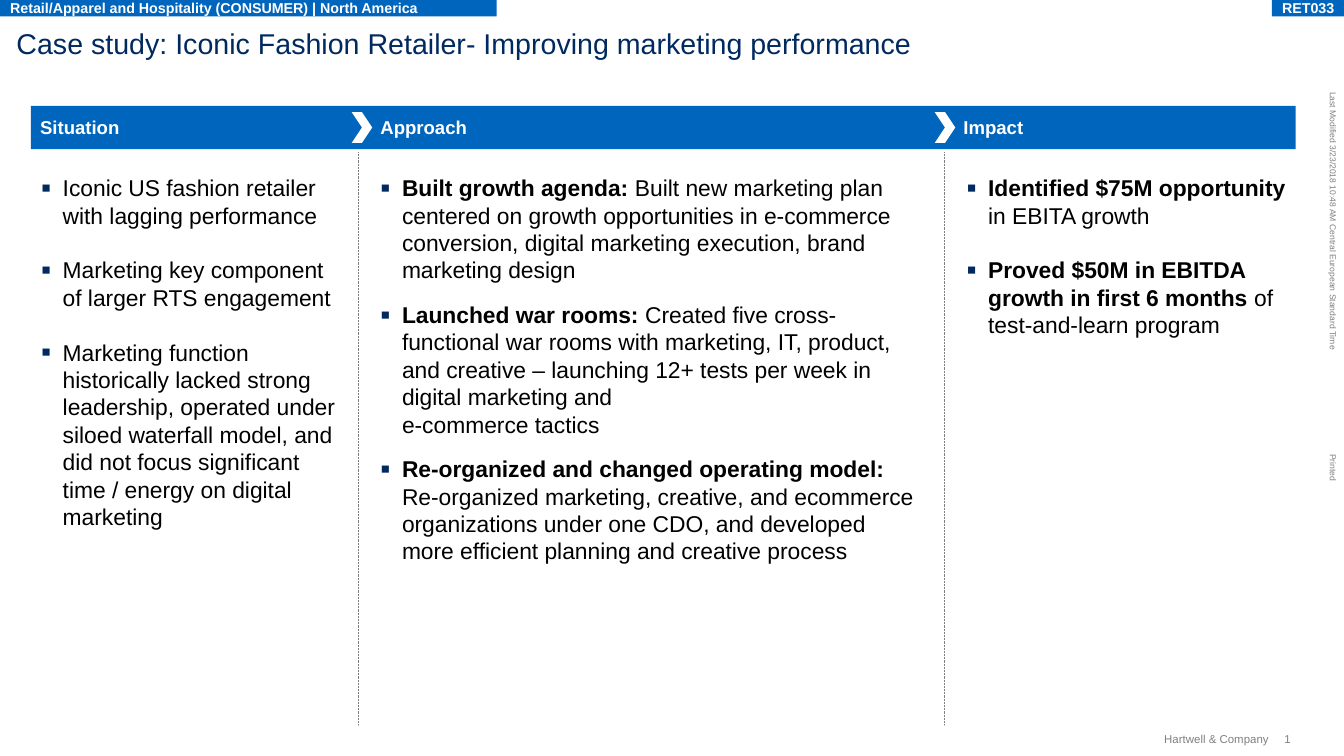
from lxml import etree
from pptx import Presentation
from pptx.dml.color import RGBColor
from pptx.enum.dml import MSO_LINE
from pptx.enum.shapes import MSO_CONNECTOR, MSO_SHAPE
from pptx.enum.text import MSO_ANCHOR, PP_ALIGN
from pptx.oxml.ns import qn
from pptx.util import Inches, Pt

RECTANGLE, CHEVRON = MSO_SHAPE.RECTANGLE, MSO_SHAPE.CHEVRON
STRAIGHT, DOTTED = MSO_CONNECTOR.STRAIGHT, MSO_LINE.ROUND_DOT
TOP, MIDDLE, BOTTOM = MSO_ANCHOR.TOP, MSO_ANCHOR.MIDDLE, MSO_ANCHOR.BOTTOM
LEFT, RIGHT = PP_ALIGN.LEFT, PP_ALIGN.RIGHT

COLORS = {"blue": "0065BD", "navy": "002960", "grey": "808080",
          "black": "000000", "white": "FFFFFF"}
FONTS = {
    "title": {"size": Pt(20), "color": "navy"},
    "tag": {"size": Pt(10), "bold": True, "color": "white"},
    "header": {"size": Pt(13), "bold": True, "color": "white"},
    "body": {"size": Pt(16), "color": "black"},
    "footer": {"size": Pt(8), "color": "grey"},
    "stamp": {"size": Pt(6), "color": "grey"},
}
LINE_PITCH = Pt(19.2)
BULLET_INDENT = Inches(0.21)
LINE_BREAK = "\n"

# Heading, heading box (left, width), bullet box (left, width, height),
# gap between bullets, bullets as (bold lead, plain parts...)
COLUMNS = [
    ("Situation", (0.39, 2.91), (0.4, 2.91, 3.5), LINE_PITCH, [
        ("", "Iconic US fashion retailer with lagging performance"),
        ("", "Marketing key component of larger RTS engagement"),
        ("", "Marketing function historically lacked strong leadership, operated under "
             "siloed waterfall model, and did not focus significant time / energy on "
             "digital marketing"),
    ]),
    ("Approach", (3.7, 5.31), (3.7, 5.26, 3.84), Pt(12), [
        ("Built growth agenda: ",
         "Built new marketing plan centered on growth opportunities in e-commerce "
         "conversion, digital marketing execution, brand marketing design"),
        ("Launched war rooms: ",
         "Created five cross-functional war rooms with marketing, IT, product, and "
         "creative – launching 12+ tests per week in digital marketing and ",
         LINE_BREAK, "e-commerce tactics"),
        ("Re-organized and changed operating model: ",
         "Re-organized marketing, creative, and ecommerce organizations under one CDO, "
         "and developed more efficient planning and creative process"),
    ]),
    ("Impact", (9.37, 3.17), (9.4, 3.27, 1.62), LINE_PITCH, [
        ("Identified $75M opportunity ", "in EBITA growth"),
        ("Proved $50M in EBITDA growth in first 6 months ",
         "of test-and-learn program"),
    ]),
]
TAGS = [
    ("Retail/Apparel and Hospitality (CONSUMER) | North America", 0, 4.83),
    ("RET033", 12.37, 0.7),
]
# Text, box, rotation, alignment, font
SMALL_PRINT = [
    ("Last Modified 3/23/2018 10:48 AM Central European Standard Time",
     (11.69, 2.12, 2.55, 0.1), 90, LEFT, "stamp"),
    ("Printed", (12.83, 4.5, 0.27, 0.1), 90, LEFT, "stamp"),
    ("Hartwell & Company", (11.23, 7.12, 1.11, 0.13), 0, RIGHT, "footer"),
    ("1", (12.49, 7.12, 0.14, 0.13), 0, LEFT, "footer"),
]
CHEVRON_LEFTS = (3.42, 9.09)
DIVIDERS = (3.49, 9.18)


def rgb(name):
    return RGBColor.from_string(COLORS[name])


def format_font(font, style):
    font.name = "Arial"
    for attribute, value in FONTS[style].items():
        if attribute == "color":
            font.color.rgb = rgb(value)
        else:
            setattr(font, attribute, value)


def format_frame(frame, anchor=TOP, wrap=True, bottom=0):
    values = {"margin_left": 0, "margin_top": 0, "margin_right": 0,
              "margin_bottom": Inches(bottom), "vertical_anchor": anchor,
              "word_wrap": wrap}
    for attribute, value in values.items():
        setattr(frame, attribute, value)


def write(paragraph, text, style, alignment=LEFT):
    paragraph.alignment = alignment
    run = paragraph.add_run()
    run.text = text
    format_font(run.font, style)
    return run


def add_text(slide, text, box, style, alignment=LEFT, **frame_format):
    label = slide.shapes.add_textbox(*map(Inches, box))
    format_frame(label.text_frame, **frame_format)
    write(label.text_frame.paragraphs[0], text, style, alignment)
    return label


def add_block(slide, preset, box, color):
    block = slide.shapes.add_shape(preset, *map(Inches, box))
    block.shadow.inherit = False
    block.fill.solid()
    block.fill.fore_color.rgb = rgb(color)
    block.line.fill.background()
    return block


def add_tag(slide, text, left, width):
    tag = add_block(slide, RECTANGLE, (left, 0, width, 0.16), "blue")
    frame = tag.text_frame
    format_frame(frame, MIDDLE, wrap=False)
    frame.margin_left = frame.margin_right = Inches(0.1)
    write(frame.paragraphs[0], text, "tag")


def add_divider(slide, x):
    divider = slide.shapes.add_connector(
        STRAIGHT, Inches(x), Inches(1.48), Inches(x), Inches(7.05))
    divider.line.color.rgb = rgb("grey")
    divider.line.width = Pt(0.5)
    divider.line.dash_style = DOTTED
    etree.SubElement(divider._element.spPr, qn("a:effectLst"))


def set_bullet(paragraph):
    properties = paragraph._p.get_or_add_pPr()
    properties.set("marL", str(BULLET_INDENT))
    properties.set("indent", str(-BULLET_INDENT))
    color = etree.SubElement(properties, qn("a:buClr"))
    etree.SubElement(color, qn("a:srgbClr"), val=COLORS["navy"])
    etree.SubElement(properties, qn("a:buSzPct"), val="125000")
    etree.SubElement(properties, qn("a:buFont"), typeface="Arial")
    etree.SubElement(properties, qn("a:buChar"), char="▪")


def add_bullets(slide, box, gap, bullets):
    left, width, height = box
    frame = slide.shapes.add_textbox(
        *map(Inches, (left, 1.69, width, height))).text_frame
    format_frame(frame)
    for index, (lead, *parts) in enumerate(bullets):
        paragraph = frame.add_paragraph() if index else frame.paragraphs[0]
        set_bullet(paragraph)
        paragraph.line_spacing = LINE_PITCH
        if index:
            paragraph.space_before = gap
        if lead:
            write(paragraph, lead, "body").font.bold = True
        for part in parts:
            if part == LINE_BREAK:
                paragraph.add_line_break()
            else:
                write(paragraph, part, "body")


def set_title(slide, text):
    title = slide.shapes.title
    title.left, title.top, title.width, title.height = map(
        Inches, (0.16, 0.25, 12.57, 0.34))
    format_frame(title.text_frame, MIDDLE)
    write(title.text_frame.paragraphs[0], text, "title")


def main():
    deck = Presentation()
    deck.slide_width, deck.slide_height = Inches(13.07), Inches(7.35)
    slide = deck.slides.add_slide(deck.slide_layouts[5])

    set_title(slide, "Case study: Iconic Fashion Retailer- Improving marketing performance")
    for text, box, rotation, alignment, style in SMALL_PRINT:
        label = add_text(slide, text, box, style, alignment, wrap=False,
                         anchor=TOP if rotation else MIDDLE)
        label.rotation = rotation

    add_block(slide, RECTANGLE, (0.3, 1.03, 12.3, 0.42), "blue")
    for heading, (left, width), bullet_box, gap, bullets in COLUMNS:
        add_text(slide, heading, (left, 1.12, width, 0.24), "header",
                 anchor=BOTTOM, bottom=0.02)
        add_bullets(slide, bullet_box, gap, bullets)
    for left in CHEVRON_LEFTS:
        add_block(slide, CHEVRON, (left, 1.09, 0.2, 0.3), "white")
    for x in DIVIDERS:
        add_divider(slide, x)
    for tag in TAGS:
        add_tag(slide, *tag)

    deck.save("out.pptx")


if __name__ == "__main__":
    main()
